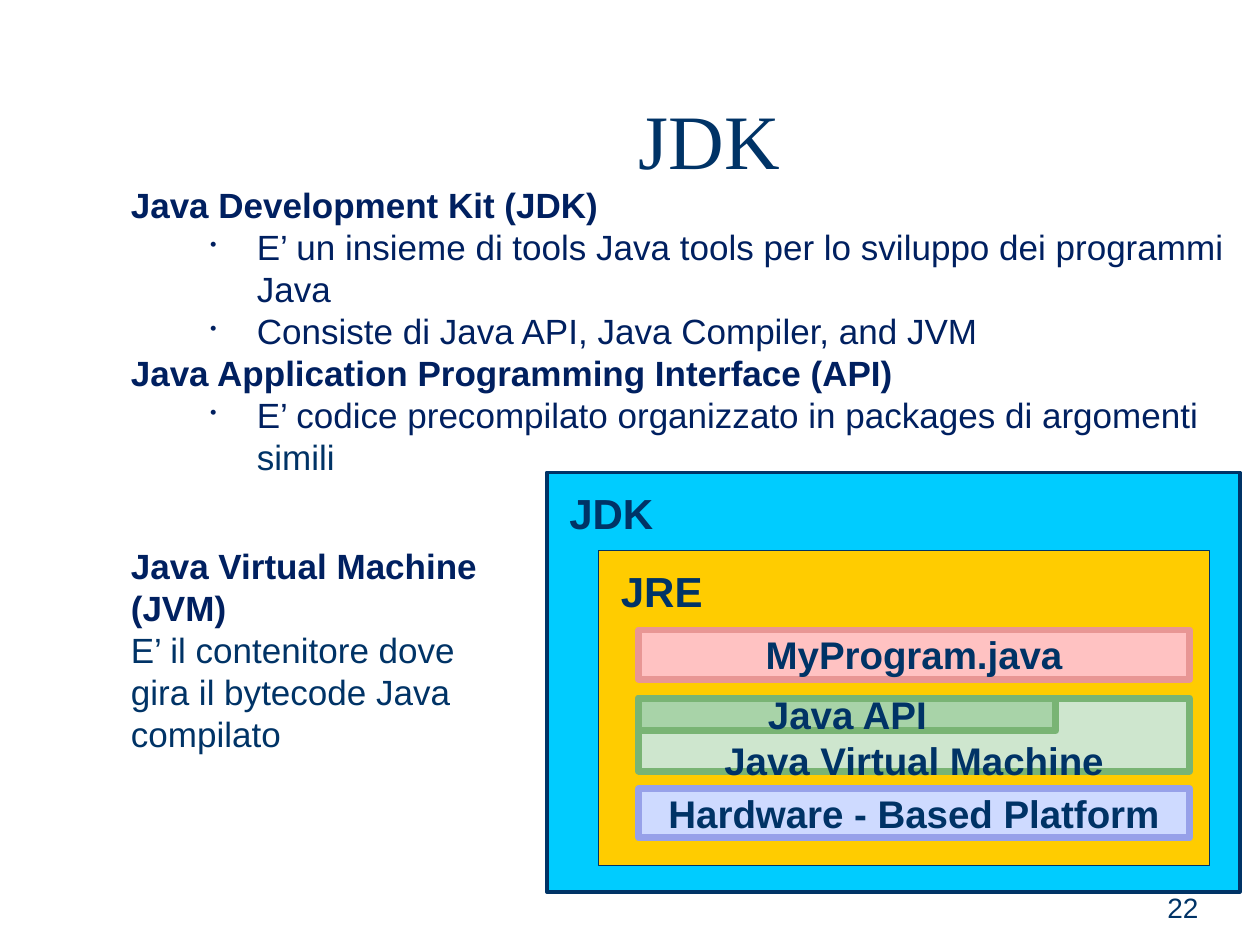
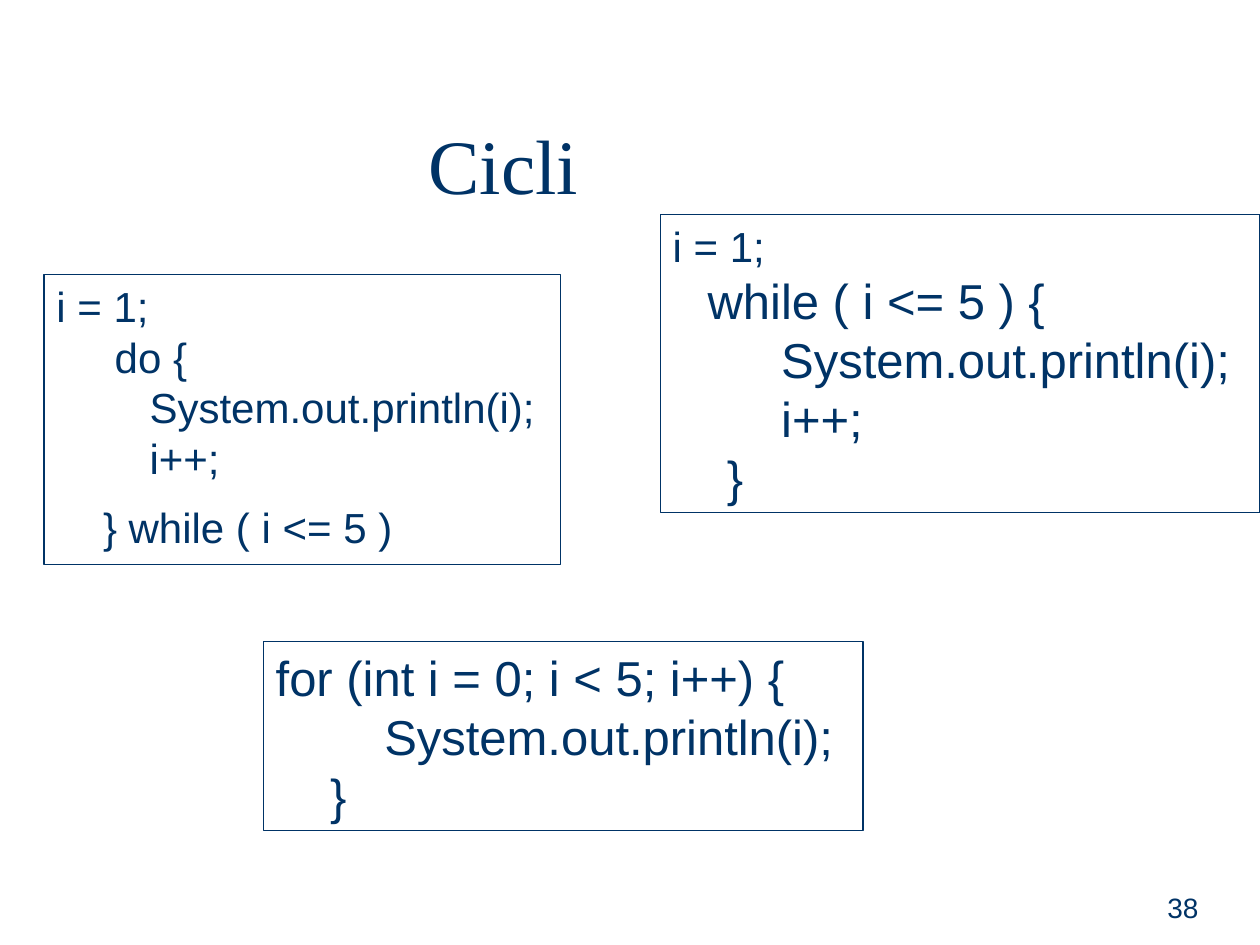
"""Two Java lesson slides: the JDK layers and the three kinds of loop."""
from lxml.etree import SubElement
from pptx import Presentation
from pptx.dml.color import RGBColor
from pptx.enum.shapes import MSO_SHAPE as Shape
from pptx.enum.text import MSO_ANCHOR as Anchor, PP_ALIGN as Align
from pptx.oxml.ns import qn
from pptx.util import Inches, Pt

NAVY = RGBColor(0x00, 0x33, 0x66)
DEEP_BLUE = RGBColor(0x00, 0x20, 0x60)
WHITE = RGBColor(0xFF, 0xFF, 0xFF)
CYAN = RGBColor(0x00, 0xCC, 0xFF)
AMBER = RGBColor(0xFF, 0xCC, 0x00)
RED = RGBColor(0xFF, 0x00, 0x00)
ROSE = RGBColor(0xE8, 0x96, 0x94)
GREEN = RGBColor(0x33, 0x99, 0x33)
SAGE = RGBColor(0x79, 0xB4, 0x74)
BLUE = RGBColor(0x33, 0x66, 0xFF)
LILAC = RGBColor(0x97, 0xA1, 0xE9)


def add_text(slide, place, lines, size, color=NAVY, bold=False, align=Align.LEFT,
             anchor=Anchor.TOP, font="Arial"):
    frame = slide.shapes.add_textbox(*map(Inches, place)).text_frame
    frame.word_wrap = True
    frame.vertical_anchor = anchor
    frame.text = lines
    for paragraph in frame.paragraphs:
        paragraph.alignment = align
        paragraph.font.name = font
        paragraph.font.size = Pt(size)
        paragraph.font.bold = bold
        paragraph.font.color.rgb = color
    return frame


def add_box(slide, place, fill=None, line=None, width=0.75):
    box = slide.shapes.add_shape(Shape.RECTANGLE, *map(Inches, place))
    box.shadow.inherit = False
    if fill is None:
        box.fill.background()
    else:
        box.fill.solid()
        box.fill.fore_color.rgb = fill
    if line is None:
        box.line.fill.background()
    else:
        box.line.color.rgb = line
        box.line.width = Pt(width)
    return box


deck = Presentation()
deck.slide_width, deck.slide_height = Inches(10), Inches(7.5)

slides = []
for title, title_place, number in [
    ("JDK", (2.56, 0.84, 6.14, 0.64), "22"),
    ("Cicli", (1.77, 1.07, 4.45, 0.57), "38"),
]:
    slide = deck.slides.add_slide(deck.slide_layouts[6])
    heading = add_text(slide, title_place, title, 44, align=Align.CENTER,
                       anchor=Anchor.MIDDLE, font="Times New Roman")
    heading.paragraphs[0].line_spacing = 0.85
    add_text(slide, (7.21, 6.88, 2.4, 0.5), number, 16, align=Align.RIGHT, anchor=Anchor.BOTTOM)
    slides.append(slide)
jdk_slide, loops_slide = slides

definitions = add_text(jdk_slide, (0.94, 1.41, 9.06, 2.43), "", 20)
for position, (level, text) in enumerate([
    (0, "Java Development Kit (JDK)"),
    (1, "E’ un insieme di tools Java tools per lo sviluppo dei programmi Java"),
    (1, "Consiste di Java API, Java Compiler, and JVM"),
    (0, "Java Application Programming Interface (API)"),
    (1, "E’ codice precompilato organizzato in packages di argomenti "),
]):
    paragraph = definitions.add_paragraph() if position else definitions.paragraphs[0]
    paragraph.text = text
    if level:
        paragraph.level = level
        properties = paragraph._p.get_or_add_pPr()
        properties.set("marL", str(Inches(1)))
        properties.set("indent", str(Inches(-0.37)))
        bullet_color = SubElement(properties, qn("a:buClr"))
        SubElement(bullet_color, qn("a:srgbClr"), val=str(DEEP_BLUE))
        SubElement(properties, qn("a:buSzPct"), val="55000")
        SubElement(properties, qn("a:buChar"), char="•")
    paragraph.font.name = "Arial"
    paragraph.font.size = Pt(20)
    paragraph.font.bold = level == 0
    paragraph.font.color.rgb = DEEP_BLUE
similar = definitions.paragraphs[-1].add_run()
similar.text = "simili"
similar.font.color.rgb = NAVY

machine = add_text(jdk_slide, (0.94, 4.27, 3.28, 2.27),
                   "Java Virtual Machine (JVM)\n"
                   "E’ il contenitore dove gira il bytecode Java compilato", 20)
machine.paragraphs[0].font.bold = True
machine.paragraphs[0].font.color.rgb = DEEP_BLUE

for name, left, top, width, height, fill, line_width in [
    ("JDK", 4.34, 3.75, 5.5, 3.33, CYAN, 2),
    ("JRE", 4.75, 4.37, 4.85, 2.5, AMBER, 0.75),
]:
    add_box(jdk_slide, (left, top, width, height), fill, NAVY, line_width)
    add_text(jdk_slide, (left + 0.08, top + 0.07, 1, 0.5), name, 24, bold=True)

layer_left, layer_width = 5.07, 4.37
for top, height in [(5, 0.41), (5.54, 0.58), (6.26, 0.41)]:
    add_box(jdk_slide, (layer_left, top, layer_width, height), WHITE)
for name, top, width, height, fill, line in [
    ("Java Virtual Machine", 5.54, layer_width, 0.58, GREEN, SAGE),
    ("Java API", 5.54, 3.31, 0.26, GREEN, SAGE),
    ("MyProgram.java", 5, layer_width, 0.39, RED, ROSE),
    ("Hardware - Based Platform", 6.26, layer_width, 0.39, BLUE, LILAC),
]:
    layer = add_box(jdk_slide, (layer_left, top, width, height), fill, line, 4)
    tint = layer.fill._xPr.find(qn("a:solidFill"))[0]
    SubElement(tint, qn("a:alpha"), val="24000")
    label = layer.text_frame
    label.word_wrap = False
    label.vertical_anchor = Anchor.MIDDLE
    if name == "Java Virtual Machine":
        label.vertical_anchor = Anchor.TOP
        label.margin_top, label.margin_bottom = Inches(0.31), 0
    label.text = name
    paragraph = label.paragraphs[0]
    paragraph.alignment = Align.CENTER
    paragraph.font.name = "Arial"
    paragraph.font.size = Pt(22)
    paragraph.font.bold = True
    paragraph.font.color.rgb = NAVY

FOR_CODE = """for (int i = 0; i < 5; i++) {
        System.out.println(i);
    }"""
DO_CODE = """i = 1;
     do {
        System.out.println(i);
        i++;
    } while ( i <= 5 )"""
WHILE_CODE = """i = 1;
    
        System.out.println(i);
        i++;
    }"""
listings = []
for place, code, size in [
    ((2.09, 5.09, 4.76, 1.5), FOR_CODE, 28),
    ((0.35, 2.18, 4.1, 2.3), DO_CODE, 24),
    ((5.24, 1.7, 4.76, 2.37), WHILE_CODE, 28),
]:
    add_box(loops_slide, place, line=NAVY)
    listings.append(add_text(loops_slide, place, code, size).paragraphs)
for_lines, do_lines, while_lines = listings
do_lines[-1].space_before = Pt(11)
while_lines[0].font.size = Pt(24)
while_lines[1].runs[0].font.size = Pt(18)
condition = while_lines[1].add_run()
condition.text = "while ( i <= 5 ) {"
condition.font.size = Pt(28)

deck.save("out.pptx")
